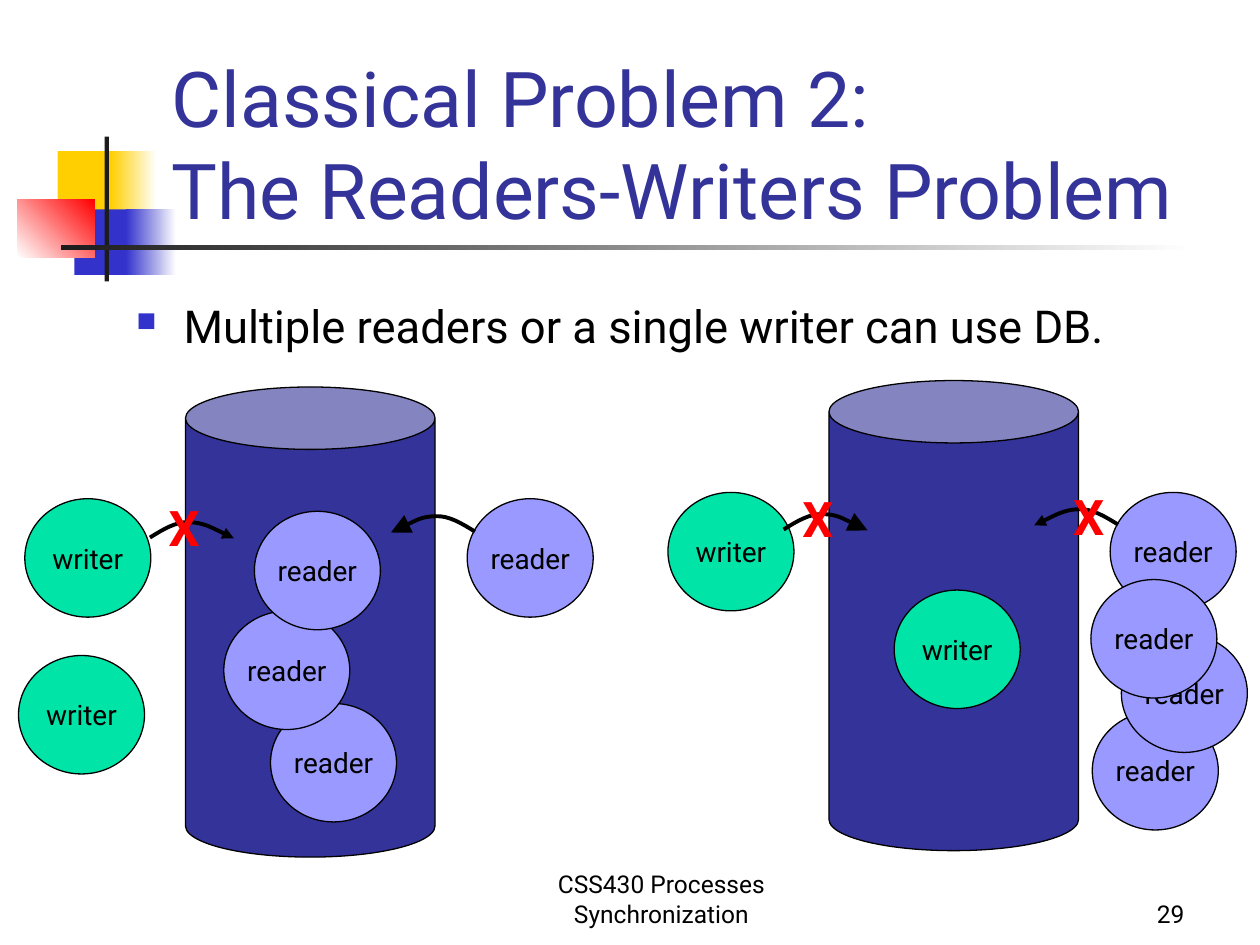
from dataclasses import dataclass

import lxml.etree
import pptx
import pptx.dml.color
import pptx.enum.shapes
import pptx.enum.text
import pptx.oxml.ns
import pptx.util

Pt = pptx.util.Pt
ALIGN = pptx.enum.text.PP_ALIGN
ANCHOR = pptx.enum.text.MSO_ANCHOR
SHAPE = pptx.enum.shapes.MSO_SHAPE
qn = pptx.oxml.ns.qn


@dataclass(frozen=True)
class Theme:
    font: str = "Roboto"
    title_size: float = 44
    body_size: float = 25.9
    cross_size: float = 28
    label_size: float = 16
    footer_size: float = 14
    white: str = "FFFFFF"
    black: str = "000000"
    dark: str = "1C1C1C"
    yellow: str = "FFCF01"
    blue: str = "3333CC"
    red: str = "FF0000"
    navy: str = "333399"
    writer: str = "00E4A8"
    reader: str = "9999FF"


THEME = Theme()
CAN_SIZE = (142.6, 268.6)
ACTOR_SIZE = (72, 67.7)
ARC = [(0, 0), (7.4, -4.6), (14.8, -9.2), (22.5, -8.8),
       (30.4, -8.6), (39.2, -3.8), (48, 0.5)]


def rgb(color):
    return pptx.dml.color.RGBColor.from_string(color)


def write_text(shape, text, size=THEME.label_size, color=THEME.black, bold=False,
               align=ALIGN.LEFT, anchor=ANCHOR.TOP, wrap=True, space_before=0):
    frame = shape.text_frame
    frame.word_wrap = wrap
    frame.vertical_anchor = anchor
    para = frame.paragraphs[0]
    para.alignment = align
    para.space_before = Pt(space_before)
    for number, line in enumerate(text.split("\n")):
        if number:
            para.add_line_break()
        span = para.add_run()
        span.text = line
        span.font.name = THEME.font
        span.font.size = Pt(size)
        span.font.bold = bold
        span.font.color.rgb = rgb(color)
    return para


def add_text(page, bounds, text, **text_format):
    box = page.shapes.add_textbox(*map(Pt, bounds))
    return write_text(box, text, **text_format)


def add_bullet(para, indent, color, percent):
    properties = para._p.get_or_add_pPr()
    properties.set("marL", str(Pt(indent)))
    properties.set("indent", str(-Pt(indent)))
    bullet_color = lxml.etree.SubElement(properties, qn("a:buClr"))
    lxml.etree.SubElement(bullet_color, qn("a:srgbClr"), val=color)
    lxml.etree.SubElement(properties, qn("a:buSzPct"), val=str(percent * 1000))
    lxml.etree.SubElement(properties, qn("a:buChar"), char="■")


def add_shape(page, kind, bounds, fill, line=None):
    shape = page.shapes.add_shape(kind, *map(Pt, bounds))
    shape.shadow.inherit = False
    shape.fill.solid()
    shape.fill.fore_color.rgb = rgb(fill)
    if line:
        shape.line.color.rgb = rgb(line)
        shape.line.width = Pt(0.75)
    else:
        shape.line.fill.background()
    return shape


def add_fade(page, bounds, start, end, angle=0):
    shape = add_shape(page, SHAPE.RECTANGLE, bounds, start)
    shape.fill.gradient()
    shape.fill.gradient_angle = angle
    for stop, color, position in zip(shape.fill.gradient_stops, (start, end), (0, 1)):
        stop.color.rgb = rgb(color)
        stop.position = position


def add_database(page, left, top):
    can = add_shape(page, SHAPE.CAN, (left, top, *CAN_SIZE), THEME.navy, THEME.black)
    can.adjustments[0] = 0.25


def add_actor(page, role, left, top):
    fill = THEME.writer if role == "writer" else THEME.reader
    actor = add_shape(page, SHAPE.OVAL, (left, top, *ACTOR_SIZE), fill, THEME.black)
    write_text(actor, role, align=ALIGN.CENTER, anchor=ANCHOR.MIDDLE, wrap=False)


def add_arc(page, left, top, direction, head):
    points = [(Pt(left + direction * x), Pt(top + y)) for x, y in ARC]
    builder = page.shapes.build_freeform(*points[0])
    builder.add_line_segments(points[1:], close=False)
    arc = builder.convert_to_shape()
    arc.shadow.inherit = False
    arc.fill.background()
    arc.line.color.rgb = rgb(THEME.black)
    arc.line.width = Pt(2.25)
    lxml.etree.SubElement(arc.line._get_or_add_ln(), qn("a:tailEnd"),
                          type="triangle", w=head, len=head)
    outline = arc._element.find(".//" + qn("a:path"))
    segments = outline.findall(qn("a:lnTo"))
    for first in range(0, len(segments), 3):
        curve = lxml.etree.SubElement(outline, qn("a:cubicBezTo"))
        for segment in segments[first:first + 3]:
            curve.append(segment[0])
            outline.remove(segment)


def add_cross(page, left, top):
    add_text(page, (left, top, 33, 41), "X", size=THEME.cross_size,
             color=THEME.red, bold=True, wrap=False)


def add_decoration(page):
    add_shape(page, SHAPE.RECTANGLE, (33, 86.4, 34.6, 37.4), THEME.yellow)
    add_fade(page, (63.4, 86.4, 26, 37.4), THEME.yellow, THEME.white)
    add_shape(page, SHAPE.RECTANGLE, (42.5, 119.7, 33, 37.4), THEME.blue)
    add_fade(page, (72, 119.7, 28.8, 37.4), THEME.blue, THEME.white)
    add_fade(page, (10, 113.8, 44, 33.2), THEME.white, THEME.red, angle=45)
    add_shape(page, SHAPE.RECTANGLE, (59.8, 78, 2.5, 82.8), THEME.dark)
    add_fade(page, (34.6, 140.2, 648, 2.5), THEME.dark, THEME.white)


def add_wording(page):
    add_text(page, (264, 498, 228, 36), "CSS430 Processes Synchronization",
             size=THEME.footer_size, align=ALIGN.CENTER, anchor=ANCHOR.BOTTOM)
    add_text(page, (534, 498, 150, 36), "29",
             size=THEME.footer_size, align=ALIGN.RIGHT, anchor=ANCHOR.BOTTOM)
    add_text(page, (91, 48, 613, 90), "Classical Problem 2:\nThe Readers-Writers Problem",
             size=THEME.title_size, color=THEME.navy, anchor=ANCHOR.BOTTOM)
    para = add_text(page, (70.8, 167, 615, 45),
                    "Multiple readers or a single writer can use DB.",
                    size=THEME.body_size, space_before=7)
    add_bullet(para, 27, THEME.blue, 60)


def add_scene(page, database, writers, readers, arcs, crosses):
    add_database(page, *database)
    for role, places in (("writer", writers), ("reader", readers)):
        for place in places:
            add_actor(page, role, *place)
    for arc in arcs:
        add_arc(page, *arc)
    for cross in crosses:
        add_cross(page, *cross)


def main():
    deck = pptx.Presentation()
    deck.slide_width, deck.slide_height = Pt(720), Pt(540)
    page = deck.slides.add_slide(deck.slide_layouts[6])
    add_decoration(page)
    add_wording(page)
    add_scene(page, database=(106, 221.2),
              writers=[(14.2, 285), (10.6, 374.6)],
              readers=[(154.6, 402), (267, 285), (127.9, 349.2), (145.4, 292.2)],
              arcs=[(271.4, 303.8, -1, "lg"), (85.7, 307.2, 1, "med")],
              crosses=[(89.3, 281)])
    add_scene(page, database=(473.7, 217.5),
              writers=[(381.7, 281.4), (511, 337.2)],
              readers=[(624.2, 406.6), (634.4, 281.4), (640.8, 362.3), (623.4, 331.2)],
              arcs=[(638.9, 299.8, -1, "med"), (447.8, 302.6, 1, "lg")],
              crosses=[(606.2, 274.4), (451.4, 275.8)])
    deck.save("out.pptx")


if __name__ == "__main__":
    main()
